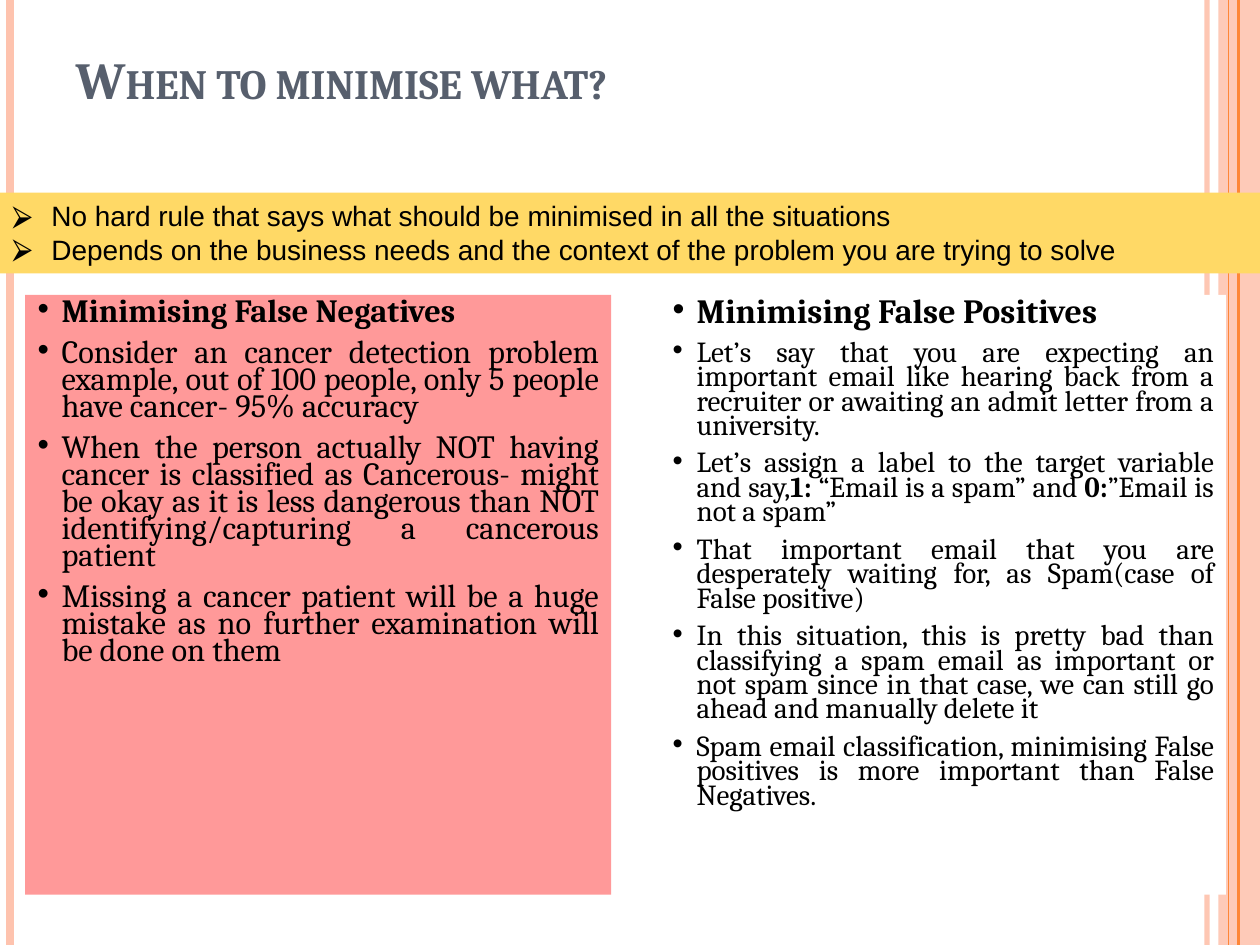
from dataclasses import dataclass

from lxml import etree
from pptx import Presentation
from pptx.dml.color import RGBColor
from pptx.enum.shapes import MSO_CONNECTOR, MSO_SHAPE
from pptx.enum.text import MSO_ANCHOR, PP_ALIGN
from pptx.oxml.ns import qn
from pptx.util import Inches, Pt

LINE = MSO_CONNECTOR.STRAIGHT
RECT = MSO_SHAPE.RECTANGLE
TOP = MSO_ANCHOR.TOP
LEFT, JUST = PP_ALIGN.LEFT, PP_ALIGN.JUSTIFY

PEACH = RGBColor(0xFE, 0xC3, 0xAE)
ORANGE = RGBColor(0xFE, 0x86, 0x37)
SLATE = RGBColor(0x57, 0x5F, 0x6D)
PINK = RGBColor(0xFF, 0x99, 0x99)
GOLD = RGBColor(0xFF, 0xD9, 0x66)
WHITE = RGBColor(0xFF, 0xFF, 0xFF)
BLACK = RGBColor(0, 0, 0)


@dataclass
class Rule:
    x: float
    color: RGBColor
    width: float
    alpha: int = 100


@dataclass
class Panel:
    x: float
    y: float
    w: float
    h: float
    fill: RGBColor
    font: str
    head: float
    size: float
    mark: str
    indent: float
    lines: list[str]
    align: PP_ALIGN = LEFT
    space: float = 1.0
    gap: float = 0


RULES = [
    Rule(9.58, PEACH, 3, 93),
    Rule(0.08, PEACH, 4.5),
    Rule(9.83, ORANGE, 1.5),
    Rule(9.75, ORANGE, 0.75),
]

BODY = dict(y=2.34, h=4.76, font="Cambria", mark="•", indent=0.19,
            align=JUST, space=0.7, gap=7.5)

PANELS = [
    Panel(x=0.2, w=4.65, fill=PINK, head=18.5, size=18.5, lines=[
        "*Minimising False Negatives*",
        "Consider an cancer detection problem example, out of 100 people, "
        "only 5 people have cancer- 95% accuracy",
        "When the person actually NOT having cancer is classified as "
        "Cancerous- might be okay as it is less dangerous than NOT "
        "identifying/capturing a cancerous patient",
        "Missing a cancer patient will be a huge mistake as no further "
        "examination will be done on them",
    ], **BODY),
    Panel(x=5.24, w=4.49, fill=WHITE, head=19.4, size=16.6, lines=[
        "*Minimising False Positives*",
        "Let’s say that you are expecting an important email like hearing "
        "back from a recruiter or awaiting an admit letter from a university.",
        "Let’s assign a label to the target variable and say,*1:* “Email is "
        "a spam” and *0:*”Email is not a spam”",
        "That important email that you are desperately waiting for, as "
        "Spam(case of False positive)",
        "In this situation, this is pretty bad than classifying a spam email "
        "as important or not spam since in that case, we can still go ahead "
        "and manually delete it",
        "Spam email classification, minimising False positives is more "
        "important than False Negatives.",
    ], **BODY),
    Panel(0, 1.53, 10, 0.64, GOLD, "Arial", 16, 16, "⮚", 0.31, [
        "No hard rule that says what should be minimised in all the situations",
        "Depends on the business needs and the context of the problem you "
        "are trying to solve",
    ]),
]


def style(item, **values) -> None:
    for name, value in values.items():
        setattr(item, name, value)


def fade(shape, alpha: int) -> None:
    for color in shape._element.spPr.iter(qn("a:srgbClr")):
        etree.SubElement(color, qn("a:alpha"), val=str(alpha * 1000))


def add_rule(slide, rule: Rule) -> None:
    x = Inches(rule.x)
    line = slide.shapes.add_connector(LINE, x, 0, x, Inches(7.5))
    line.line.color.rgb = rule.color
    line.line.width = Pt(rule.width)
    if rule.alpha < 100:
        fade(line, rule.alpha)
    etree.SubElement(line._element.spPr, qn("a:effectLst"))


def add_box(slide, x: float, y: float, w: float, h: float, fill: RGBColor):
    box = slide.shapes.add_shape(RECT, *map(Inches, (x, y, w, h)))
    box.shadow.inherit = False
    box.fill.solid()
    box.fill.fore_color.rgb = fill
    box.line.fill.background()
    return box


def add_mark(para, mark: str, indent: float) -> None:
    props = para._p.get_or_add_pPr()
    props.set("marL", str(Inches(indent)))
    props.set("indent", str(-Inches(indent)))
    color = etree.SubElement(props, qn("a:buClr"))
    etree.SubElement(color, qn("a:srgbClr"), val=str(BLACK))
    etree.SubElement(props, qn("a:buFont"), typeface="Arial")
    etree.SubElement(props, qn("a:buChar"), char=mark)


def add_panel(slide, panel: Panel) -> None:
    box = add_box(slide, panel.x, panel.y, panel.w, panel.h, panel.fill)
    frame = box.text_frame
    style(frame, word_wrap=True, vertical_anchor=TOP)
    for i, text in enumerate(panel.lines):
        para = frame.add_paragraph() if i else frame.paragraphs[0]
        add_mark(para, panel.mark, panel.indent)
        style(para, alignment=panel.align if i else LEFT,
              line_spacing=panel.space, space_before=Pt(panel.gap if i else 0))
        size = Pt(panel.size if i else panel.head)
        for j, part in enumerate(text.split("*")):
            if part:
                run = para.add_run()
                run.text = part
                style(run.font, name=panel.font, size=size, bold=j % 2 == 1)
                run.font.color.rgb = BLACK


def set_title(slide, text: str) -> None:
    title = slide.shapes.title
    style(title, left=Inches(0.5), top=Inches(0.3),
          width=Inches(8.17), height=Inches(1.25))
    frame = title.text_frame
    style(frame, word_wrap=True, vertical_anchor=TOP, margin_top=Inches(0.13))
    para = frame.paragraphs[0]
    style(para, alignment=LEFT, line_spacing=0.9)
    run = para.add_run()
    run.text = text
    style(run.font, name="Cambria", size=Pt(29.7), bold=True)
    run.font.color.rgb = SLATE
    run._r.get_or_add_rPr().set("cap", "small")


def main() -> None:
    deck = Presentation()
    style(deck, slide_width=Inches(10), slide_height=Inches(7.5))
    slide = deck.slides.add_slide(deck.slide_layouts[5])
    set_title(slide, "When to minimise what?")
    fade(add_box(slide, 9.67, 0, 0.33, 7.5, PEACH), 87)
    for rule in RULES:
        add_rule(slide, rule)
    for panel in PANELS:
        add_panel(slide, panel)
    deck.save("out.pptx")


if __name__ == "__main__":
    main()
